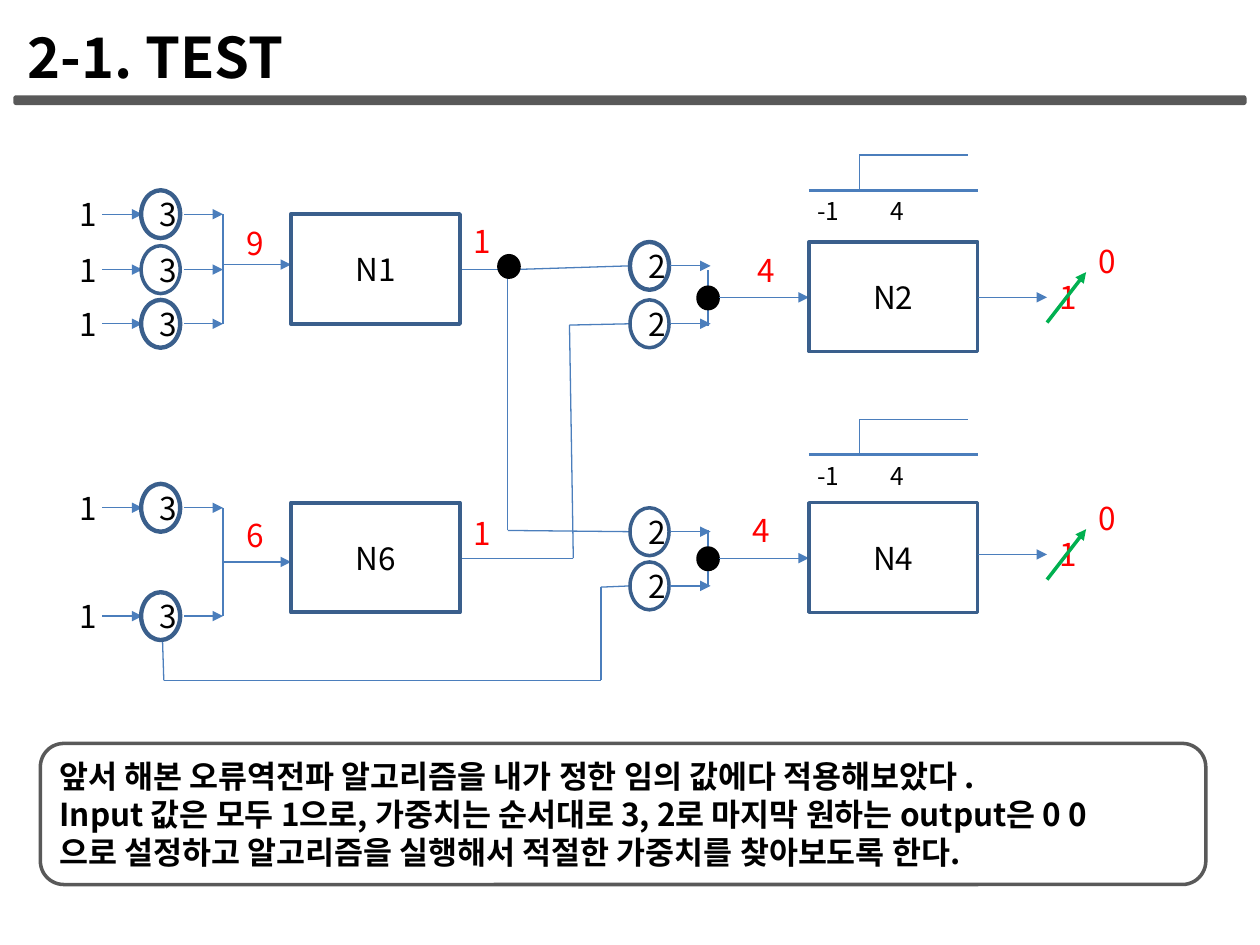
from dataclasses import dataclass
from typing import NamedTuple

from lxml.etree import SubElement
from pptx import Presentation
from pptx.dml.color import RGBColor
from pptx.enum.shapes import MSO_CONNECTOR as Connector, MSO_SHAPE as Preset
from pptx.enum.text import MSO_ANCHOR as Anchor, MSO_AUTO_SIZE as AutoSize, PP_ALIGN as Align
from pptx.oxml.ns import qn
from pptx.util import Inches, Pt


@dataclass(frozen=True)
class Theme:
    font: str = "Noto Sans CJK KR"
    ink: str = "000000"
    paper: str = "FFFFFF"
    frame: str = "595959"
    outline: str = "3A5F8C"
    wire: str = "4B7EBC"
    value: str = "FF0000"
    change: str = "00B050"
    title_size: float = 32
    body_size: float = 18
    small_size: float = 14
    thin: float = 0.75
    axis: float = 1.75
    border: float = 2
    heavy: float = 2.5


class Box(NamedTuple):
    left: float
    top: float
    width: float
    height: float


THEME = Theme()
RING = (0.31, 0.38)
BODY = (1.34, 0.87)


def write(shape, lines, size, color=THEME.ink, bold=False, align=Align.LEFT):
    frame = shape.text_frame
    frame.word_wrap = True
    for index, line in enumerate(lines):
        paragraph = frame.paragraphs[0] if index == 0 else frame.add_paragraph()
        paragraph.alignment = align
        run = paragraph.add_run()
        run.text = line
        run.font.name = THEME.font
        run.font.size = Pt(size)
        run.font.bold = bold
        run.font.color.rgb = RGBColor.from_string(color)
        SubElement(run.font._element, qn("a:ea"), typeface=THEME.font)


def add_label(slide, box, text, size=THEME.body_size, color=THEME.value, bold=False):
    shape = slide.shapes.add_textbox(*map(Inches, box))
    write(shape, [text], size, color, bold)
    shape.text_frame.auto_size = AutoSize.SHAPE_TO_FIT_TEXT


def add_value(slide, left, top, text):
    add_label(slide, Box(left, top, 0.31, 0.4), text)


def add_outline(slide, preset, box, color=THEME.outline, width=THEME.border, fill=None, text=None):
    shape = slide.shapes.add_shape(preset, *map(Inches, box))
    shape.shadow.inherit = False
    shape.line.color.rgb = RGBColor.from_string(color)
    shape.line.width = Pt(width)
    if fill:
        shape.fill.solid()
        shape.fill.fore_color.rgb = RGBColor.from_string(fill)
    else:
        shape.fill.background()
    if text:
        shape.text_frame.vertical_anchor = Anchor.MIDDLE
        write(shape, [text], THEME.body_size, align=Align.CENTER)
    return shape


def add_line(slide, x1, y1, x2, y2, color=THEME.wire, width=THEME.thin, arrow=False):
    connector = slide.shapes.add_connector(Connector.STRAIGHT, *map(Inches, (x1, y1, x2, y2)))
    connector.line.color.rgb = RGBColor.from_string(color)
    connector.line.width = Pt(width)
    properties = connector.element.spPr
    if arrow:
        SubElement(properties.find(qn("a:ln")), qn("a:tailEnd"), type="triangle")
    SubElement(properties, qn("a:effectLst"))


def add_dot(slide, left, top):
    add_outline(slide, Preset.OVAL, Box(left, top, 0.16, 0.17), THEME.ink, fill=THEME.ink)


def add_header(slide, box):
    add_label(slide, Box(box.left, box.top, 9.29, 0.64), "2-1. TEST",
              THEME.title_size, THEME.ink, bold=True)
    add_outline(slide, Preset.ROUNDED_RECTANGLE,
                Box(box.left, box.top + 0.64, box.width, 0.05), THEME.frame, fill=THEME.frame)


def add_input_neuron(slide, box, name, total, rows, feed, body):
    """Weighted inputs joined on a bus; rows, feed and body are offsets from the top."""
    left, top = box.left, box.top
    bus = left + 1.28
    body_left = left + 1.82
    for row, weight_line in rows:
        y = top + row
        ring_top = y - RING[1] / 2
        add_outline(slide, Preset.OVAL, Box(left, ring_top, *RING), THEME.paper, text="1")
        add_line(slide, left + 0.32, y, left + 0.64, y, arrow=True)
        add_outline(slide, Preset.OVAL, Box(left + 0.63, ring_top, *RING),
                    width=weight_line, text="3")
        add_line(slide, left + 0.97, y, bus, y, arrow=True)
    add_line(slide, bus, top + rows[0][0], bus, top + rows[-1][0])
    add_line(slide, bus, top + feed, body_left, top + feed, arrow=True)
    add_outline(slide, Preset.RECTANGLE, Box(body_left, top + body, *BODY),
                width=THEME.heavy, text=name)
    add_value(slide, left + 1.37, top + 0.22, total)
    add_value(slide, left + 3.17, top + 0.2, "1")


def add_output_neuron(slide, box, name, weights, result, sum_left):
    """Two weights meeting in a dot; weights and result are offsets from the top."""
    left, top = box.left, box.top
    joint = left + 0.62
    body_left = left + 1.42
    for offset, weight_line in weights:
        y = top + offset + RING[1] / 2
        add_outline(slide, Preset.OVAL, Box(left, top + offset, *RING),
                    width=weight_line, text="2")
        add_line(slide, left + 0.32, y, left + 0.64, y, arrow=True)
    add_line(slide, joint, top + 0.36, joint, top + 0.22)
    add_line(slide, joint, top + 0.67, joint, top + 0.53)
    add_dot(slide, left + 0.54, top + 0.36)
    add_line(slide, left + 0.71, top + 0.44, body_left, top + 0.44, arrow=True)
    add_value(slide, left + sum_left, top + 0.02, "4")
    add_outline(slide, Preset.RECTANGLE, Box(body_left, top, *BODY), text=name)

    # Result 1 struck through in favour of the wanted 0
    y, end = top + result, left + 3.31
    add_line(slide, left + 2.76, y, end, y, arrow=True)
    add_value(slide, end, y - 0.2, "1")
    add_line(slide, end, y + 0.2, end + 0.31, y - 0.2, THEME.change, THEME.border, arrow=True)
    add_value(slide, end + 0.31, y - 0.49, "0")


def add_step_function(slide, box):
    left, top = box.left, box.top
    base, rise = top + box.height, left + 0.4
    add_line(slide, left, base, left + box.width, base, width=THEME.axis)
    add_line(slide, rise, top, rise, base)
    add_line(slide, rise, top, left + 1.26, top)
    for offset, text in ((-0.03, "-1"), (0.55, "4")):
        add_label(slide, Box(left + offset, base, 0.47, 0.34), text,
                  THEME.small_size, THEME.ink)


def add_wiring(slide, box):
    """Links between the two layers, each a chain of points within the box."""
    chains = (
        ((3.66, 2.14), (4.06, 2.14), (5, 2.11)),
        ((5, 4.22), (4.03, 4.21), (4.03, 2.11)),
        ((3.66, 4.43), (4.55, 4.43), (4.52, 2.58), (5, 2.57)),
        ((5, 4.65), (4.77, 4.66), (4.77, 5.4), (1.3, 5.4), (1.29, 5.08)),
    )
    for chain in chains:
        for (x1, y1), (x2, y2) in zip(chain, chain[1:]):
            add_line(slide, box.left + x1, box.top + y1, box.left + x2, box.top + y2)
    add_dot(slide, box.left + 3.96, box.top + 2.03)


def add_summary(slide, box):
    shape = add_outline(slide, Preset.ROUNDED_RECTANGLE, box, THEME.frame)
    shape.text_frame.vertical_anchor = Anchor.MIDDLE
    write(shape, [
        "앞서 해본 오류역전파 알고리즘을 내가 정한 임의 값에다 적용해보았다 .",
        "Input 값은 모두 1으로, 가중치는 순서대로 3, 2로 마지막 원하는 output은 0 0",
        "으로 설정하고 알고리즘을 실행해서 적절한 가중치를 찾아보도록 한다.",
    ], THEME.body_size, bold=True)


def main():
    presentation = Presentation()
    presentation.slide_width, presentation.slide_height = Inches(10), Inches(7.5)
    slide = presentation.slides.add_slide(presentation.slide_layouts[6])
    normal, heavy = THEME.border, THEME.heavy

    add_header(slide, Box(0.12, 0.13, 9.76, 0.69))
    add_wiring(slide, Box(0, 0, 10, 7.5))
    # Input layer
    add_input_neuron(slide, Box(0.49, 1.51, 3.48, 1.25), "N1", "9",
                     ((0.19, heavy), (0.63, normal), (1.06, heavy)), 0.59, 0.19)
    add_input_neuron(slide, Box(0.49, 3.83, 3.48, 1.25), "N6", "6",
                     ((0.2, heavy), (1.06, heavy)), 0.63, 0.16)
    # Output layer
    add_output_neuron(slide, Box(5, 1.92, 3.93, 0.87), "N2",
                      ((0, heavy), (0.46, normal)), 0.44, 0.91)
    add_output_neuron(slide, Box(5, 3.99, 3.93, 0.87), "N4",
                      ((0.04, normal), (0.47, normal)), 0.41, 0.87)
    for top in (1.23, 3.33):
        add_step_function(slide, Box(6.42, top, 1.34, 0.28))
    add_summary(slide, Box(0.32, 5.9, 9.25, 1.12))
    presentation.save("out.pptx")


if __name__ == "__main__":
    main()
